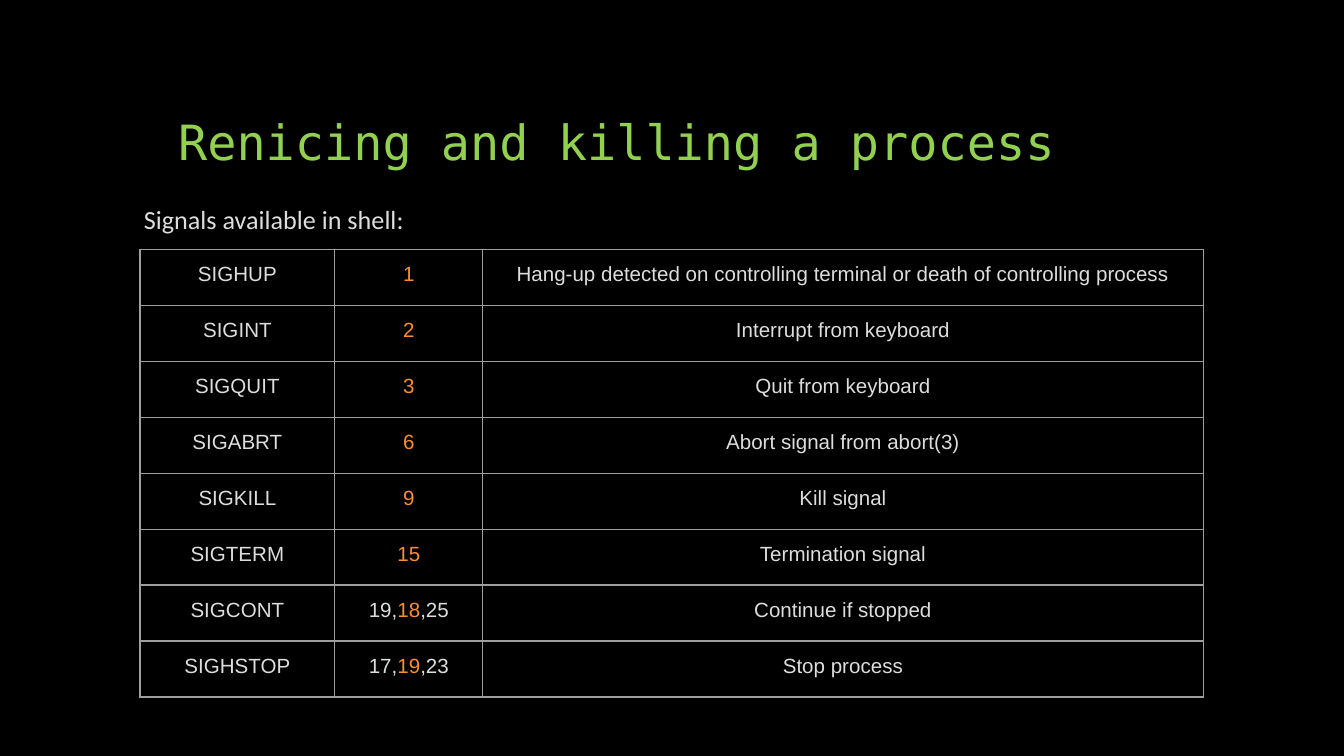
from dataclasses import dataclass

from lxml.etree import SubElement
from pptx import Presentation
from pptx.dml.color import RGBColor as Rgb
from pptx.enum.text import MSO_ANCHOR as Anchor, PP_ALIGN as Align
from pptx.oxml.ns import qn
from pptx.util import Pt


@dataclass(frozen=True)
class Theme:
    background: str = "000000"
    heading: str = "92D050"
    body: str = "DDDDDD"
    accent: str = "FA8F30"
    border: str = "9E9E9E"
    heading_font: str = "DejaVu Sans Mono"
    intro_font: str = "Calibri"
    table_font: str = "Arial"
    heading_size: float = 26
    intro_size: float = 14
    table_size: float = 11
    border_width: float = 0.75


THEME = Theme()
COLUMN_WIDTHS = (104.4, 79.2, 386)
ROW_HEIGHT = 30
CELL_INSET = 7.2
SIGNALS = (
    ("SIGHUP", ("", "1", ""),
     "Hang-up detected on controlling terminal or death of controlling process"),
    ("SIGINT", ("", "2", ""), "Interrupt from keyboard"),
    ("SIGQUIT", ("", "3", ""), "Quit from keyboard"),
    ("SIGABRT", ("", "6", ""), "Abort signal from abort(3)"),
    ("SIGKILL", ("", "9", ""), "Kill signal"),
    ("SIGTERM", ("", "15", ""), "Termination signal"),
    ("SIGCONT", ("19,", "18", ",25"), "Continue if stopped"),
    ("SIGHSTOP", ("17,", "19", ",23"), "Stop process"),
)


def add_span(para, text, font, size, color):
    span = para.add_run()
    span.text = text
    span.font.name = font
    span.font.size = Pt(size)
    span.font.color.rgb = Rgb.from_string(color)


def set_insets(target, horizontal, vertical):
    target.margin_left = target.margin_right = Pt(horizontal)
    target.margin_top = target.margin_bottom = Pt(vertical)


def set_title(page, text):
    title = page.shapes.title
    title.left, title.top, title.width, title.height = Pt(90), Pt(27), Pt(540), Pt(67.5)
    frame = title.text_frame
    frame.word_wrap = True
    frame.vertical_anchor = Anchor.BOTTOM
    set_insets(frame, 5.4, 2.7)
    para = frame.paragraphs[0]
    para.alignment = Align.LEFT
    para.line_spacing = 0.9
    add_span(para, text, THEME.heading_font, THEME.heading_size, THEME.heading)


def add_intro(page, text):
    box = page.shapes.add_textbox(Pt(70), Pt(102), Pt(188.6), Pt(44))
    frame = box.text_frame
    frame.word_wrap = True
    set_insets(frame, CELL_INSET, CELL_INSET)
    add_span(frame.paragraphs[0], text, THEME.intro_font, THEME.intro_size, THEME.body)


def add_borders(cell):
    properties = cell._tc.get_or_add_tcPr()
    for side in ("lnL", "lnR", "lnT", "lnB"):
        line = SubElement(properties, qn(f"a:{side}"), w=str(Pt(THEME.border_width)))
        fill = SubElement(line, qn("a:solidFill"))
        SubElement(fill, qn("a:srgbClr"), val=THEME.border)


def fill_cell(cell, spans):
    add_borders(cell)
    cell.fill.background()
    cell.vertical_anchor = Anchor.TOP
    set_insets(cell, CELL_INSET, CELL_INSET)
    para = cell.text_frame.paragraphs[0]
    para.alignment = Align.CENTER
    for text, color in spans:
        if text:
            add_span(para, text, THEME.table_font, THEME.table_size, color)


def add_signal_table(page):
    table = page.shapes.add_table(
        len(SIGNALS), len(COLUMN_WIDTHS), Pt(75), Pt(133.5),
        Pt(sum(COLUMN_WIDTHS)), Pt(ROW_HEIGHT * len(SIGNALS))).table
    table.first_row = table.horz_banding = False
    for column, width in zip(table.columns, COLUMN_WIDTHS):
        column.width = Pt(width)
    for row, (name, numbers, meaning) in zip(table.rows, SIGNALS):
        row.height = Pt(ROW_HEIGHT)
        number_spans = zip(numbers, (THEME.body, THEME.accent, THEME.body))
        contents = ([(name, THEME.body)], number_spans, [(meaning, THEME.body)])
        for cell, spans in zip(row.cells, contents):
            fill_cell(cell, spans)


def main():
    deck = Presentation()
    deck.slide_width, deck.slide_height = Pt(720), Pt(405)
    page = deck.slides.add_slide(deck.slide_layouts.get_by_name("Title Only"))
    page.background.fill.solid()
    page.background.fill.fore_color.rgb = Rgb.from_string(THEME.background)
    set_title(page, "Renicing and killing a process")
    add_signal_table(page)
    add_intro(page, "Signals available in shell:")
    deck.save("out.pptx")


if __name__ == "__main__":
    main()
